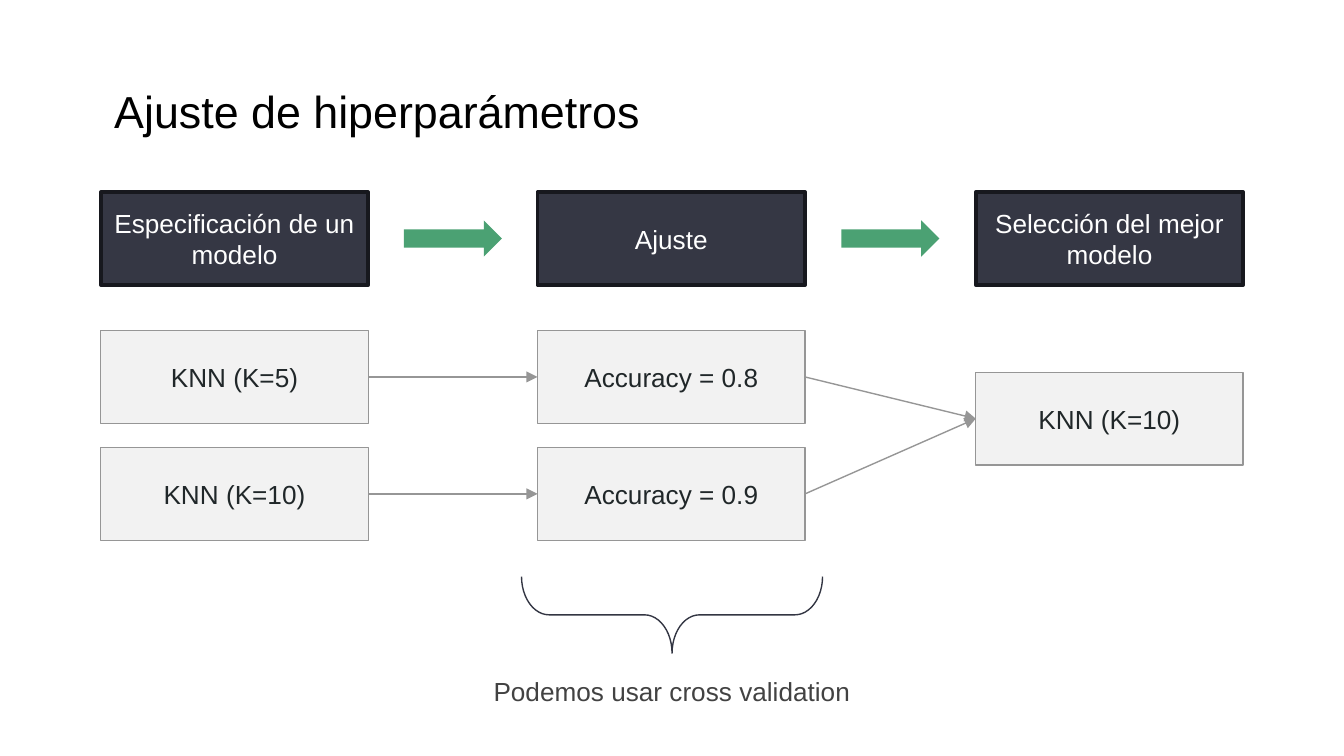
from dataclasses import dataclass

from lxml import etree
from pptx import Presentation
from pptx.dml.color import RGBColor
from pptx.enum.shapes import MSO_CONNECTOR, MSO_SHAPE
from pptx.enum.text import MSO_ANCHOR, MSO_AUTO_SIZE, PP_ALIGN
from pptx.oxml.ns import qn
from pptx.util import Inches, Pt

RECTANGLE = MSO_SHAPE.RECTANGLE
RIGHT_ARROW = MSO_SHAPE.RIGHT_ARROW
RIGHT_BRACE = MSO_SHAPE.RIGHT_BRACE
STRAIGHT = MSO_CONNECTOR.STRAIGHT
LEFT, CENTER = PP_ALIGN.LEFT, PP_ALIGN.CENTER
MIDDLE = MSO_ANCHOR.MIDDLE
GROW = MSO_AUTO_SIZE.SHAPE_TO_FIT_TEXT
LEFT_SIDE, RIGHT_SIDE = 1, 3


@dataclass(frozen=True)
class Theme:
    font: str = "Arial"
    title_size: float = 24
    body_size: float = 14
    title: str = "000000"
    header_fill: str = "353744"
    header_line: str = "17181E"
    header_text: str = "FFFFFF"
    card_fill: str = "F2F2F2"
    card_line: str = "969696"
    card_text: str = "202729"
    arrow: str = "4BA173"
    brace: str = "333643"
    caption: str = "424242"
    thick: float = 2
    thin: float = 0.75


def write_text(frame, text, *, font, size, color, align=CENTER, anchor=MIDDLE):
    """Put one formatted paragraph into a text frame."""
    frame.word_wrap = True
    frame.vertical_anchor = anchor
    para = frame.paragraphs[0]
    para.alignment = align
    span = para.add_run()
    span.text = text
    span.font.name = font
    span.font.size = Pt(size)
    span.font.color.rgb = RGBColor.from_string(color)


class SlideBuilder:
    def __init__(self, page, theme):
        self.page = page
        self.theme = theme

    def title(self, text, left, top, width, height):
        box = self.page.shapes.title
        box.left, box.top = Inches(left), Inches(top)
        box.width, box.height = Inches(width), Inches(height)
        write_text(box.text_frame, text, font=self.theme.font,
                   size=self.theme.title_size, color=self.theme.title, align=LEFT)
        box.text_frame.auto_size = GROW

    def shape(self, kind, left, top, width, height, fill=None, line=None, weight=0):
        item = self.page.shapes.add_shape(
            kind, Inches(left), Inches(top), Inches(width), Inches(height))
        item.shadow.inherit = False
        if fill:
            item.fill.solid()
            item.fill.fore_color.rgb = RGBColor.from_string(fill)
        else:
            item.fill.background()
        if line:
            item.line.color.rgb = RGBColor.from_string(line)
            item.line.width = Pt(weight)
        else:
            item.line.fill.background()
        return item

    def box(self, text, left, top, width, height, header=False):
        theme = self.theme
        if header:
            fill, line, color, weight = (theme.header_fill, theme.header_line,
                                         theme.header_text, theme.thick)
        else:
            fill, line, color, weight = (theme.card_fill, theme.card_line,
                                         theme.card_text, theme.thin)
        box = self.shape(RECTANGLE, left, top, width, height, fill, line, weight)
        write_text(box.text_frame, text, font=theme.font,
                   size=theme.body_size, color=color)
        return box

    def block_arrow(self, left, top, width, height):
        self.shape(RIGHT_ARROW, left, top, width, height, self.theme.arrow)

    def brace(self, left, top, width, height):
        """Draw a brace that opens upwards, within the given visible bounds."""
        brace = self.shape(RIGHT_BRACE, left + (width - height) / 2,
                           top + (height - width) / 2, height, width,
                           line=self.theme.brace, weight=self.theme.thin)
        brace.rotation = 90
        brace.adjustments[0] = 0.36

    def link(self, source, target):
        link = self.page.shapes.add_connector(STRAIGHT, 0, 0, 0, 0)
        link.begin_connect(source, RIGHT_SIDE)
        link.end_connect(target, LEFT_SIDE)
        link.line.color.rgb = RGBColor.from_string(self.theme.card_line)
        link.line.width = Pt(self.theme.thin)
        properties = link._element.spPr
        etree.SubElement(properties.find(qn("a:ln")), qn("a:tailEnd"), type="triangle")
        etree.SubElement(properties, qn("a:effectLst"))

    def caption(self, text, left, top, width, height):
        box = self.page.shapes.add_textbox(
            Inches(left), Inches(top), Inches(width), Inches(height))
        write_text(box.text_frame, text, font=self.theme.font,
                   size=self.theme.body_size, color=self.theme.caption)
        box.text_frame.auto_size = GROW


def main():
    deck = Presentation()
    # Widescreen page, 16:9
    deck.slide_width = Inches(10)
    deck.slide_height = deck.slide_width * 9 // 16
    page = deck.slides.add_slide(deck.slide_layouts[5])
    builder = SlideBuilder(page, Theme())
    builder.title("Ajuste de hiperparámetros", 0.75, 0.57, 5, 0.5)

    # Column and row grid
    box_width, box_height = 1.99, 0.69
    columns = [0.75, 4, 7.26]
    rows = [2.46, 3.33]
    header_top = 1.43

    # Stage headers with block arrows centred in the gaps
    stages = ["Especificación de un modelo", "Ajuste", "Selección del mejor modelo"]
    for left, stage in zip(columns, stages):
        builder.box(stage, left, header_top, box_width, box_height, header=True)
    arrow_width, arrow_height = 0.73, 0.27
    for left, following in zip(columns, columns[1:]):
        middle = (left + box_width + following) / 2
        builder.block_arrow(middle - arrow_width / 2,
                            header_top + (box_height - arrow_height) / 2,
                            arrow_width, arrow_height)

    # Candidate models, their scores and the chosen model
    chosen = builder.box("KNN (K=10)", columns[2], 2.77, box_width, box_height)
    candidates = [("KNN (K=5)", "Accuracy = 0.8"), ("KNN (K=10)", "Accuracy = 0.9")]
    for top, (model, accuracy) in zip(rows, candidates):
        candidate = builder.box(model, columns[0], top, box_width, box_height)
        score = builder.box(accuracy, columns[1], top, box_width, box_height)
        builder.link(candidate, score)
        builder.link(score, chosen)

    # Note on the tuning stage
    builder.brace(3.88, 4.29, 2.24, 0.57)
    builder.caption("Podemos usar cross validation", 2.5, 4.97, 5, 0.34)

    deck.save("out.pptx")


if __name__ == "__main__":
    main()
